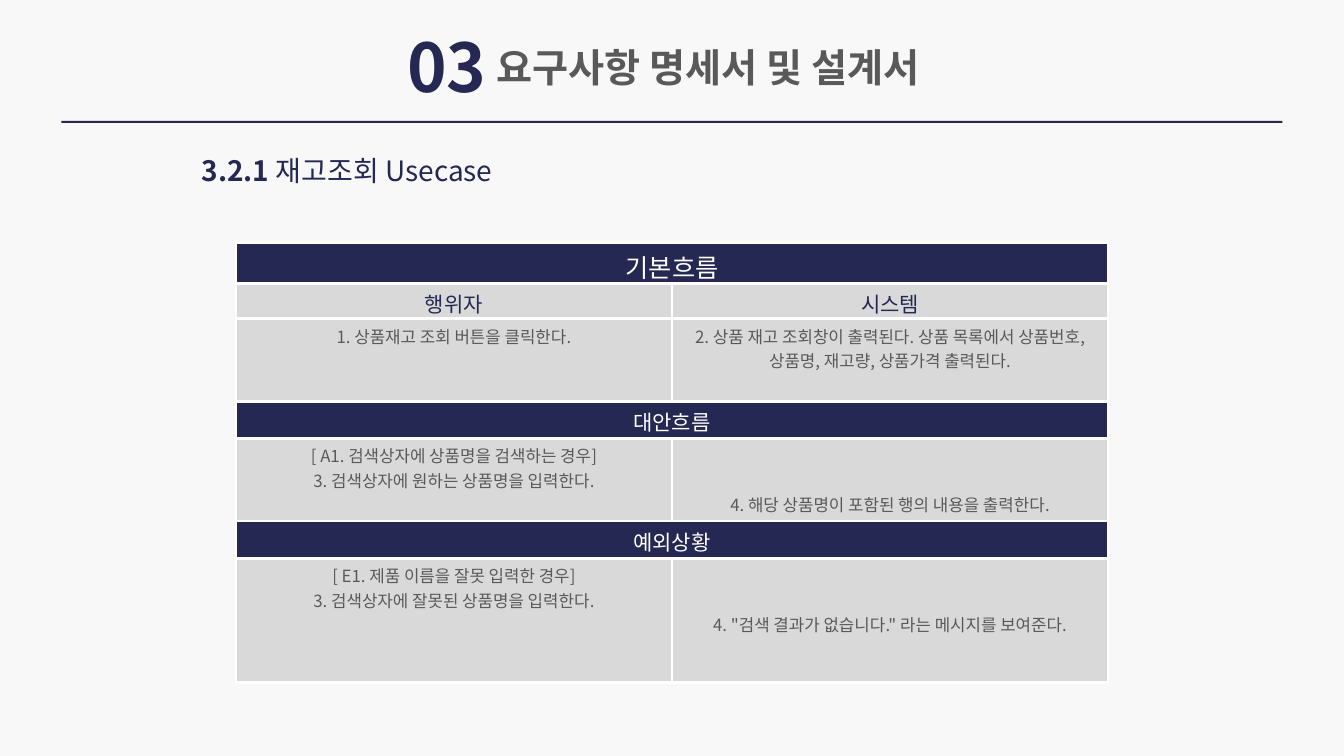
from lxml import etree
from pptx import Presentation
from pptx.dml.color import RGBColor
from pptx.enum import shapes, text
from pptx.oxml import ns
from pptx.util import Inches, Pt

# Content
FONT = "Noto Sans CJK KR"
NAVY, GRAY, PALE, WHITE, PAPER = "242852", "595959", "D9D9D9", "FFFFFF", "F8F8F8"
TITLES = [  # box, runs of (text, bold), size, colour
    ((3.94, 0.2, 2.03, 0.91), [("03", True)], 48, NAVY),
    ((4.83, 0.38, 4.56, 0.57), [("요구사항 명세서 및 설계서", True)], 28, GRAY),
    ((1.9, 1.47, 4.09, 0.44), [("3.2.1 ", True), ("재고조회 Usecase", False)], 20, NAVY),
]
STYLES = {  # size, text colour, fill
    "main": (18, WHITE, NAVY),
    "band": (15, WHITE, NAVY),
    "head": (15, NAVY, PALE),
    "body": (12, GRAY, PALE),
}
ROWS = [  # style, height, cells as (lines skipped at the top, paragraphs)
    ("main", 0.4, [(0, ["기본흐름"])]),
    ("head", 0.35, [(0, ["행위자"]), (0, ["시스템"])]),
    ("body", 0.82, [
        (0, ["1. 상품재고 조회 버튼을 클릭한다."]),
        (0, ["2. 상품 재고 조회창이 출력된다. 상품 목록에서 상품번호, 상품명, 재고량, 상품가격 출력된다."])]),
    ("band", 0.37, [(0, ["대안흐름"])]),
    ("body", 0.82, [
        (0, ["[ A1. 검색상자에 상품명을 검색하는 경우]", "3. 검색상자에 원하는 상품명을 입력한다."]),
        (2, ["4. 해당 상품명이 포함된 행의 내용을 출력한다."])]),
    ("band", 0.37, [(0, ["예외상황"])]),
    ("body", 1.23, [
        (0, ["[ E1. 제품 이름을 잘못 입력한 경우]", "3. 검색상자에 잘못된 상품명을 입력한다."]),
        (2, ['4. "검색 결과가 없습니다." 라는 메시지를 보여준다.'])]),
]
LEFT, TOP, WIDTH = 2.34, 2.41, 8.65
PAD, BODY_LINE = 0.05, 0.24


def paint(target, color):
    """Give a fill or a font a solid colour."""
    if hasattr(target, "solid"):
        target.solid()
        target.fore_color.rgb = RGBColor.from_string(color)
    else:
        target.color.rgb = RGBColor.from_string(color)


def set_font(p, size, color):
    p.font.name, p.font.size = FONT, Pt(size)
    paint(p.font, color)
    for r in p.runs:
        ea = etree.SubElement(r._r.get_or_add_rPr(), ns.qn("a:ea"))
        ea.set("typeface", FONT)


def add_borders(cell):
    tc_pr = cell._tc.get_or_add_tcPr()
    for i, side in enumerate("LRTB"):
        ln = etree.Element(ns.qn("a:ln" + side), w=str(Pt(2.25)))
        fill = etree.SubElement(ln, ns.qn("a:solidFill"))
        etree.SubElement(fill, ns.qn("a:srgbClr"), val=WHITE)
        tc_pr.insert(i, ln)


def fill_cell(cell, style, skipped, lines):
    size, color, back = STYLES[style]
    cell.margin_top = Inches(PAD + skipped * BODY_LINE)
    cell.margin_bottom = 0
    tf = cell.text_frame
    tf.text = "\n".join(lines)
    for p in tf.paragraphs:
        p.alignment = text.PP_ALIGN.CENTER
        set_font(p, size, color)


def main():
    prs = Presentation()
    prs.slide_width, prs.slide_height = Inches(13.33), Inches(7.5)
    s = prs.slides.add_slide(prs.slide_layouts[6])
    paint(s.background.fill, PAPER)

    # Rule under the title
    rule = s.shapes.add_shape(shapes.MSO_SHAPE.RECTANGLE,
                              *map(Inches, (0.61, 1.2, 12.11, 0.02)))
    rule.shadow.inherit = False
    paint(rule.fill, NAVY)
    rule.line.fill.background()

    # Title and subtitle
    for box, runs, size, color in TITLES:
        tf = s.shapes.add_textbox(*map(Inches, box)).text_frame
        tf.word_wrap = True
        p = tf.paragraphs[0]
        for words, bold in runs:
            r = p.add_run()
            r.text, r.font.bold = words, bold
        set_font(p, size, color)

    # Use case table
    height = sum(row[1] for row in ROWS)
    table = s.shapes.add_table(len(ROWS), 2, *map(Inches, (LEFT, TOP, WIDTH, height))).table
    for i, (style, row_height, cells) in enumerate(ROWS):
        table.rows[i].height = Inches(row_height)
        for cell in table.rows[i].cells:
            paint(cell.fill, STYLES[style][2])
            add_borders(cell)
        if len(cells) == 1:
            table.cell(i, 0).merge(table.cell(i, 1))
        for j, (skipped, lines) in enumerate(cells):
            fill_cell(table.cell(i, j), style, skipped, lines)

    prs.save("out.pptx")


if __name__ == "__main__":
    main()
